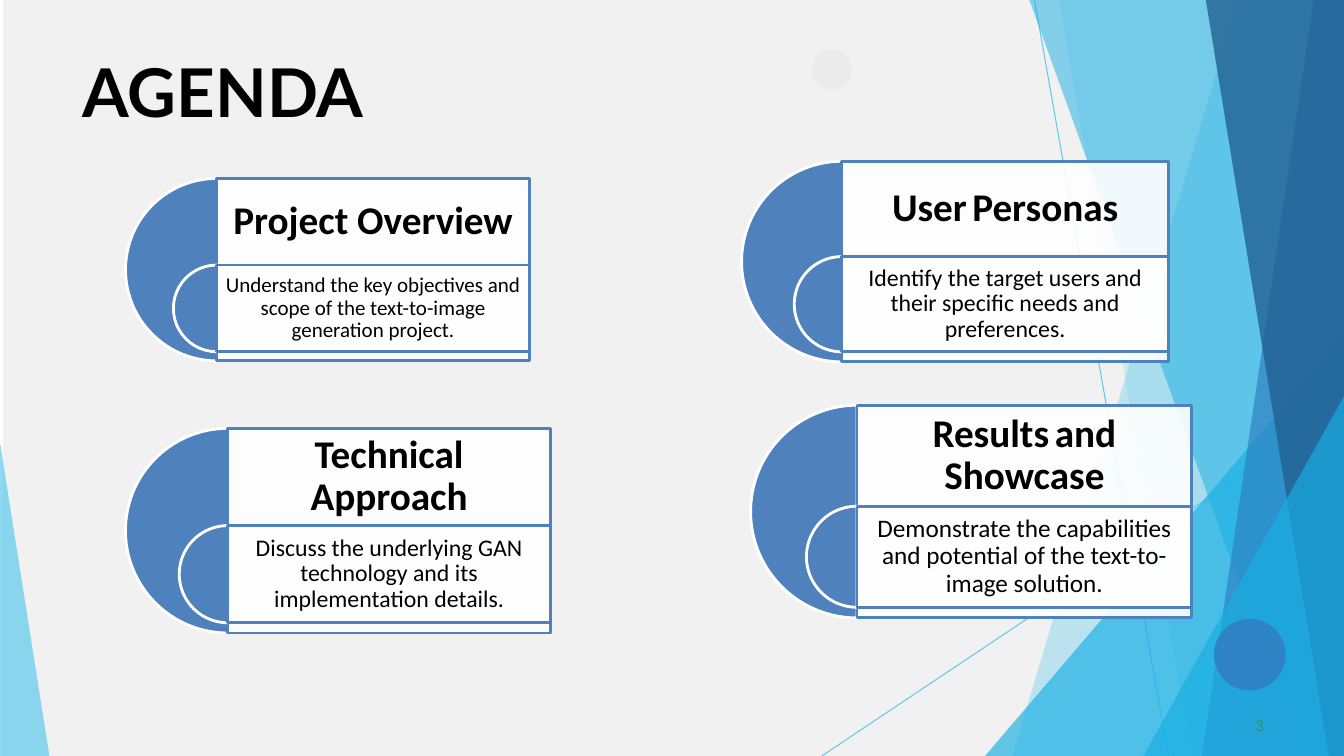
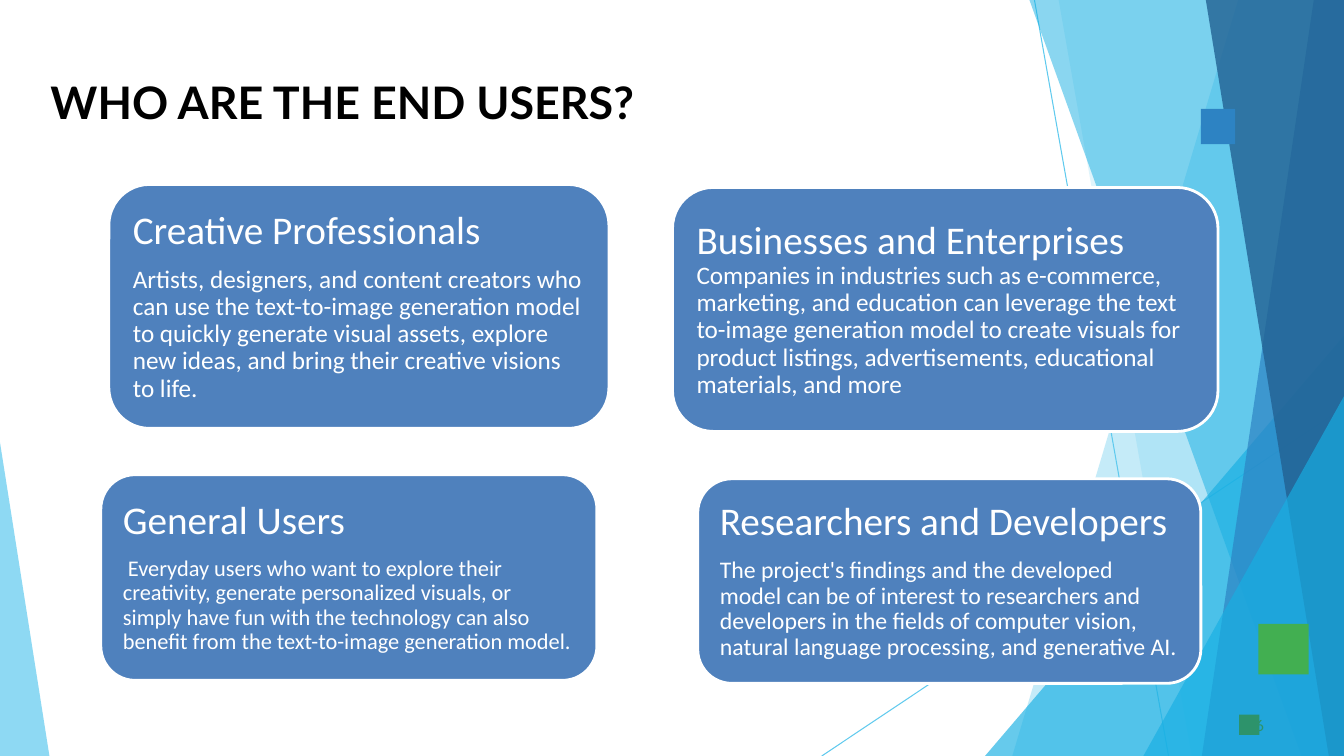
from lxml.etree import SubElement
from pptx import Presentation
from pptx.dml.color import RGBColor
from pptx.enum.shapes import MSO_CONNECTOR, MSO_SHAPE
from pptx.enum.text import MSO_ANCHOR, MSO_AUTO_SIZE, PP_ALIGN
from pptx.oxml.ns import qn
from pptx.util import Inches, Pt

WHITE = RGBColor(0xFF, 0xFF, 0xFF)
BLACK = RGBColor(0x00, 0x00, 0x00)
PANEL = RGBColor(0xF1, 0xF1, 0xF1)
PALE_GRAY = RGBColor(0xEB, 0xEB, 0xEB)
STEEL = RGBColor(0x4F, 0x81, 0xBD)
SKY = RGBColor(0x5F, 0xCA, 0xEE)
CYAN = RGBColor(0x17, 0xAF, 0xE3)
BLUE = RGBColor(0x2D, 0x83, 0xC3)
NAVY = RGBColor(0x22, 0x61, 0x92)
GREEN = RGBColor(0x42, 0xAF, 0x51)
TEAL = RGBColor(0x2D, 0x93, 0x6B)

TITLE_FONT = "Lato"
BODY_FONT = "Calibri"
HEADING_SIZE = 28
ROW_SHARE = 0.475
RIGHT, BOTTOM = 13.33, 7.5

RAYS = [((10.26, 0), (11.59, BOTTOM)), ((RIGHT, 4.04), (8.15, BOTTOM))]
FACETS = [
    ([(RIGHT, 0), (12.28, 0), (10.04, BOTTOM), (RIGHT, BOTTOM)], SKY, 36),
    ([(RIGHT, 0), (10.5, 0), (11.82, BOTTOM), (RIGHT, BOTTOM)], SKY, 20),
    ([(RIGHT, 3.33), (9.77, BOTTOM), (RIGHT, BOTTOM)], CYAN, 66),
    ([(RIGHT, 0), (10.21, 0), (12.91, BOTTOM), (RIGHT, BOTTOM)], CYAN, 50),
    ([(RIGHT, 0), (13.03, 0), (11.92, BOTTOM), (RIGHT, BOTTOM)], BLUE, 70),
    ([(RIGHT, 0), (11.96, 0), (13.18, BOTTOM), (RIGHT, BOTTOM)], NAVY, 80),
    ([(RIGHT, 3.93), (11.34, BOTTOM), (RIGHT, BOTTOM)], CYAN, 66),
    ([(0, 4.39), (0, BOTTOM), (0.49, BOTTOM)], SKY, 70),
]

AGENDA_CARDS = [
    ((2.15, 1.77, 3.1, 1.81), ["Project Overview"], 15, 0.06,
     "Understand the key objectives and scope of the text-to-image generation project."),
    ((8.35, 1.6, 3.24, 1.99), ["User", "Personas"], 17, 0.07,
     "Identify the target users and their specific needs and preferences."),
    ((2.26, 4.25, 3.2, 2.03), ["Technical", "Approach"], 17, 0.07,
     "Discuss the underlying GAN technology and its implementation details."),
    ((8.5, 4.02, 3.32, 2.11), ["Results", "and", "Showcase"], 18, 0.07,
     "Demonstrate the capabilities and potential of the text-to-image solution."),
]

USER_CARDS = [
    ((1.08, 1.83, 4.96, 2.42), [
        [("Creative Professionals", HEADING_SIZE)],
        [("Artists, designers, and content creators who can use the text-to-image "
          "generation model to quickly generate visual assets, explore new ideas, "
          "and bring their creative visions to life.", 18)]]),
    ((6.67, 1.86, 5.41, 2.42), [
        [("Businesses and Enterprises ", HEADING_SIZE),
         ("Companies in industries such as e-commerce, marketing, and education can "
          "leverage the text to-image generation model to create visuals for product "
          "listings, advertisements, educational materials, and more", 18)]]),
    ((1, 4.71, 4.92, 2.04), [
        [("General Users", HEADING_SIZE)],
        [(" Everyday users who want to explore their creativity, generate personalized "
          "visuals, or simply have fun with the technology can also benefit from the "
          "text-to-image generation model.", 16)]]),
    ((6.92, 4.75, 4.99, 2.03), [
        [("Researchers and Developers", HEADING_SIZE)],
        [("The project's findings and the developed model can be of interest to "
          "researchers and developers in the fields of computer vision, natural "
          "language processing, and generative AI.", 17)]]),
]


def set_fill(shape, color, opacity=100):
    shape.shadow.inherit = False
    shape.fill.solid()
    shape.fill.fore_color.rgb = color
    if opacity < 100:
        color_node = shape.fill._xPr.find(qn("a:solidFill"))[0]
        SubElement(color_node, qn("a:alpha"), val=str(opacity * 1000))


def add_shape(page, kind, place, color, opacity=100, line=None):
    shape = page.shapes.add_shape(kind, *map(Inches, place))
    set_fill(shape, color, opacity)
    if line is None:
        shape.line.fill.background()
    else:
        shape.line.color.rgb = line
        shape.line.width = Pt(2)
    return shape


def add_facet(page, points, color, opacity):
    corners = [(Inches(x), Inches(y)) for x, y in points]
    builder = page.shapes.build_freeform(*corners[0], scale=1.0)
    builder.add_line_segments(corners[1:], close=True)
    facet = builder.convert_to_shape()
    set_fill(facet, color, opacity)
    facet.line.fill.background()


def add_ray(page, start, end):
    ray = page.shapes.add_connector(
        MSO_CONNECTOR.STRAIGHT, *map(Inches, start + end))
    ray.line.color.rgb = SKY
    ray.line.width = Pt(0.75)
    SubElement(ray._element.spPr, qn("a:effectLst"))


def write(frame, paragraphs, font=BODY_FONT, color=BLACK, bold=False,
          align=PP_ALIGN.LEFT, anchor=MSO_ANCHOR.MIDDLE,
          margins=(0.12, 0.12, 0.12, 0.12), spacing=0.9, gap=10):
    frame.word_wrap = True
    frame.auto_size = MSO_AUTO_SIZE.NONE
    frame.vertical_anchor = anchor
    (frame.margin_left, frame.margin_top,
     frame.margin_right, frame.margin_bottom) = map(Inches, margins)
    for index, spans in enumerate(paragraphs):
        para = frame.add_paragraph() if index else frame.paragraphs[0]
        para.alignment = align
        para.line_spacing = spacing
        para.space_before = Pt(gap if index else 0)
        for text, size in spans:
            span = para.add_run()
            span.text = text
            span.font.name = font
            span.font.size = Pt(size)
            span.font.bold = bold
            span.font.color.rgb = color


def add_backdrop(page):
    for start, end in RAYS:
        add_ray(page, start, end)
    for points, color, opacity in FACETS:
        add_facet(page, points, color, opacity)


def add_title(page, text, size, place, margins):
    title = page.shapes.title
    title.left, title.top, title.width, title.height = map(Inches, place)
    write(title.text_frame, [[(text, size)]], font=TITLE_FONT, bold=True,
          anchor=MSO_ANCHOR.TOP, margins=margins, spacing=1.0)
    title.element.getparent().append(title.element)


def add_page_number(page, number):
    box = page.shapes.add_textbox(*map(Inches, (12.33, 7.08, 0.26, 0.19)))
    write(box.text_frame, [[(number, 11)]], font=TITLE_FONT, color=TEAL,
          anchor=MSO_ANCHOR.TOP, margins=(0.12, 0.02, 0, 0), spacing=1.0)


def add_half_disc(page, center_x, top, diameter):
    disc = add_shape(page, MSO_SHAPE.PIE,
                     (center_x - diameter / 2, top, diameter, diameter),
                     STEEL, line=WHITE)
    disc.adjustments[0] = 54
    disc.adjustments[1] = 162


def add_agenda_card(page, place, words, size, inset, detail):
    left, top, width, height = place
    row = height * ROW_SHARE
    heading = [(words[0], HEADING_SIZE)]
    for word in words[1:]:
        heading += [(" ", size), (word, HEADING_SIZE)]
    add_half_disc(page, left, top, height)
    frame_box = add_shape(page, MSO_SHAPE.RECTANGLE, place, WHITE, 90, STEEL)
    write(frame_box.text_frame, [heading], bold=True, align=PP_ALIGN.CENTER,
          margins=(0.12, 0.12, 0.12, height - row + 0.12))
    add_half_disc(page, left, top + row, row)
    detail_box = add_shape(page, MSO_SHAPE.RECTANGLE,
                           (left, top + row, width, row), WHITE, 90, STEEL)
    write(detail_box.text_frame, [[(detail, size)]], align=PP_ALIGN.CENTER,
          margins=(inset,) * 4)


def add_user_card(page, place, paragraphs):
    card = add_shape(page, MSO_SHAPE.ROUNDED_RECTANGLE, place, STEEL, line=WHITE)
    write(card.text_frame, paragraphs, color=WHITE)


def build_agenda(deck):
    page = deck.slides.add_slide(deck.slide_layouts[5])
    add_shape(page, MSO_SHAPE.RECTANGLE, (0.03, 0, 13.3, BOTTOM), PANEL)
    add_backdrop(page)
    add_shape(page, MSO_SHAPE.OVAL, (8.05, 0.49, 0.4, 0.4), PALE_GRAY)
    add_shape(page, MSO_SHAPE.OVAL, (12.04, 6.14, 0.71, 0.71), BLUE)
    add_title(page, "AGENDA", 48, (0.61, 0.42, 10.68, 0.89), (0.21, 0.08, 0, 0))
    add_page_number(page, "3")
    for card in AGENDA_CARDS:
        add_agenda_card(page, *card)


def build_end_users(deck):
    page = deck.slides.add_slide(deck.slide_layouts[5])
    add_backdrop(page)
    for place, color in [((12.48, 6.19, 0.5, 0.5), GREEN),
                         ((11.91, 1.08, 0.34, 0.35), BLUE),
                         ((12.29, 7.09, 0.2, 0.2), TEAL)]:
        add_shape(page, MSO_SHAPE.RECTANGLE, place, color)
    add_title(page, "WHO ARE THE END USERS?", 32,
              (0.33, 0.17, 10.68, 1.11), (0.17, 0.57, 0, 0))
    add_page_number(page, "6")
    for card in USER_CARDS:
        add_user_card(page, *card)


def main():
    deck = Presentation()
    deck.slide_width = Inches(RIGHT)
    deck.slide_height = Inches(BOTTOM)
    build_agenda(deck)
    build_end_users(deck)
    deck.save("out.pptx")


if __name__ == "__main__":
    main()
